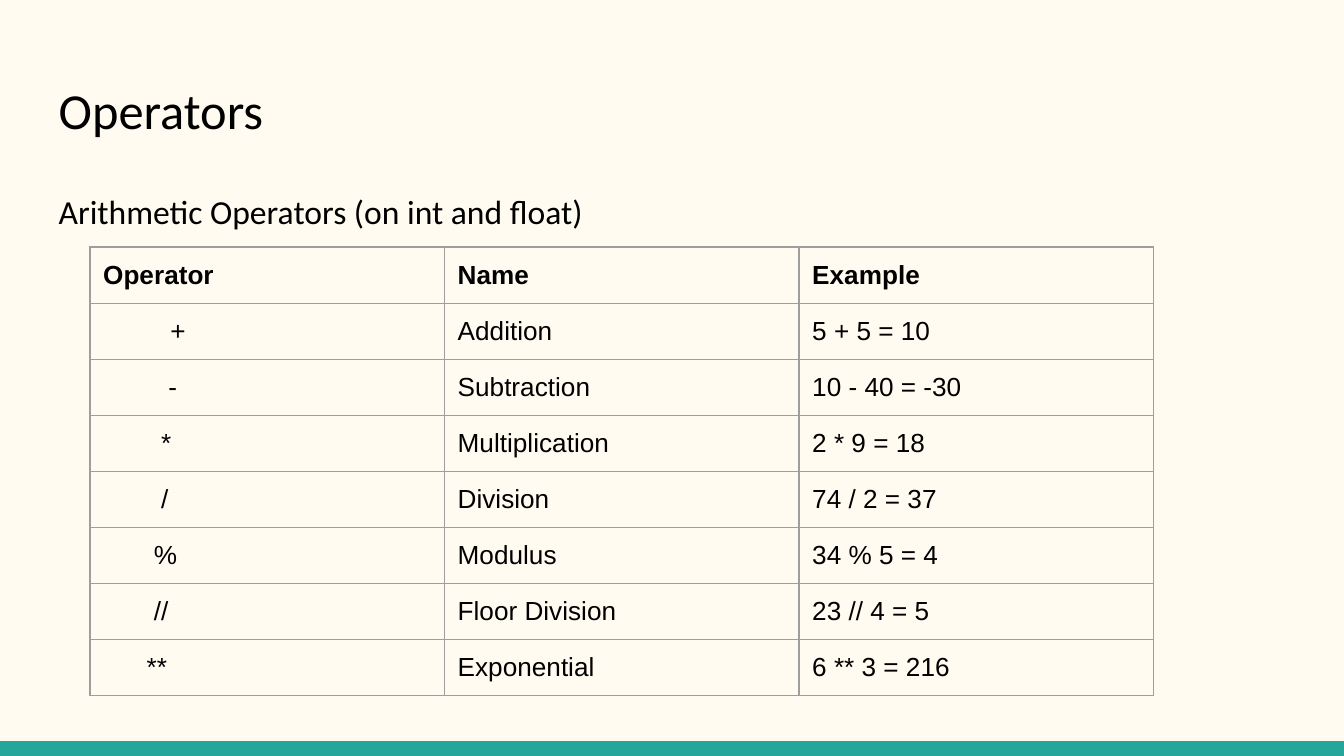
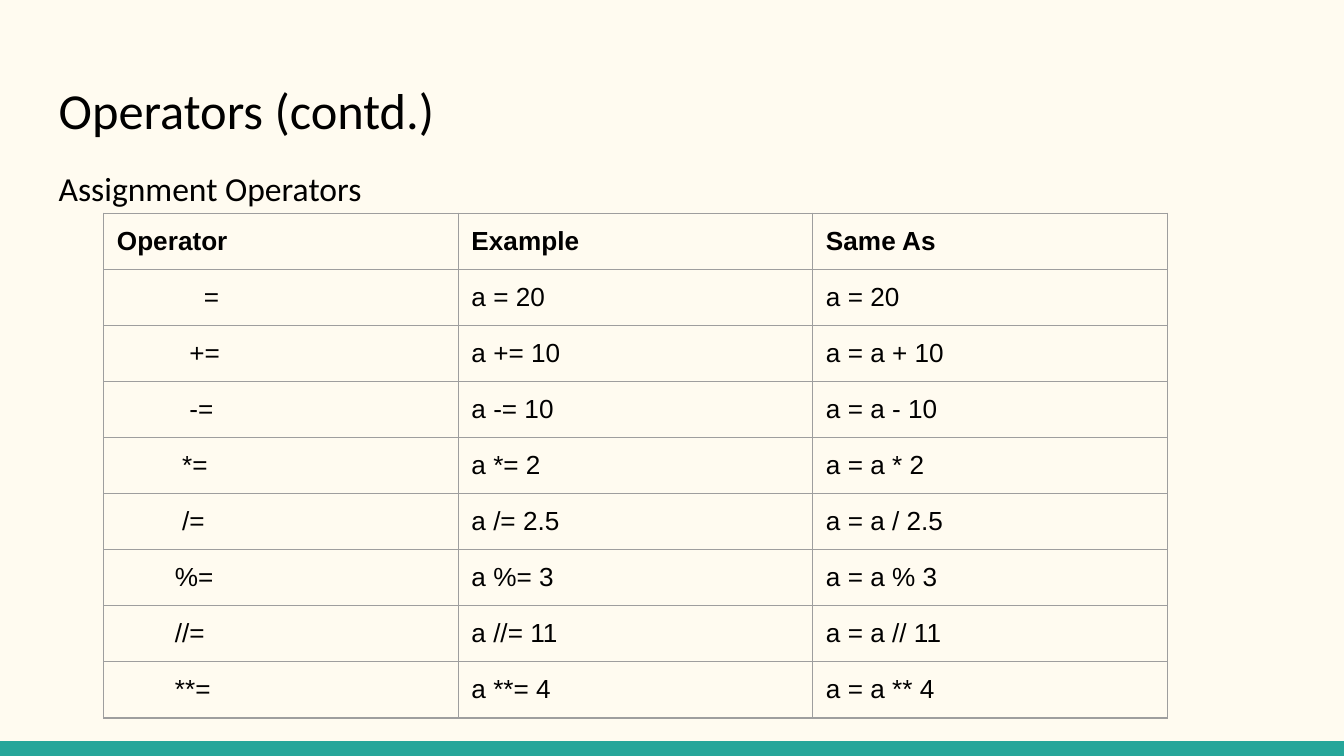
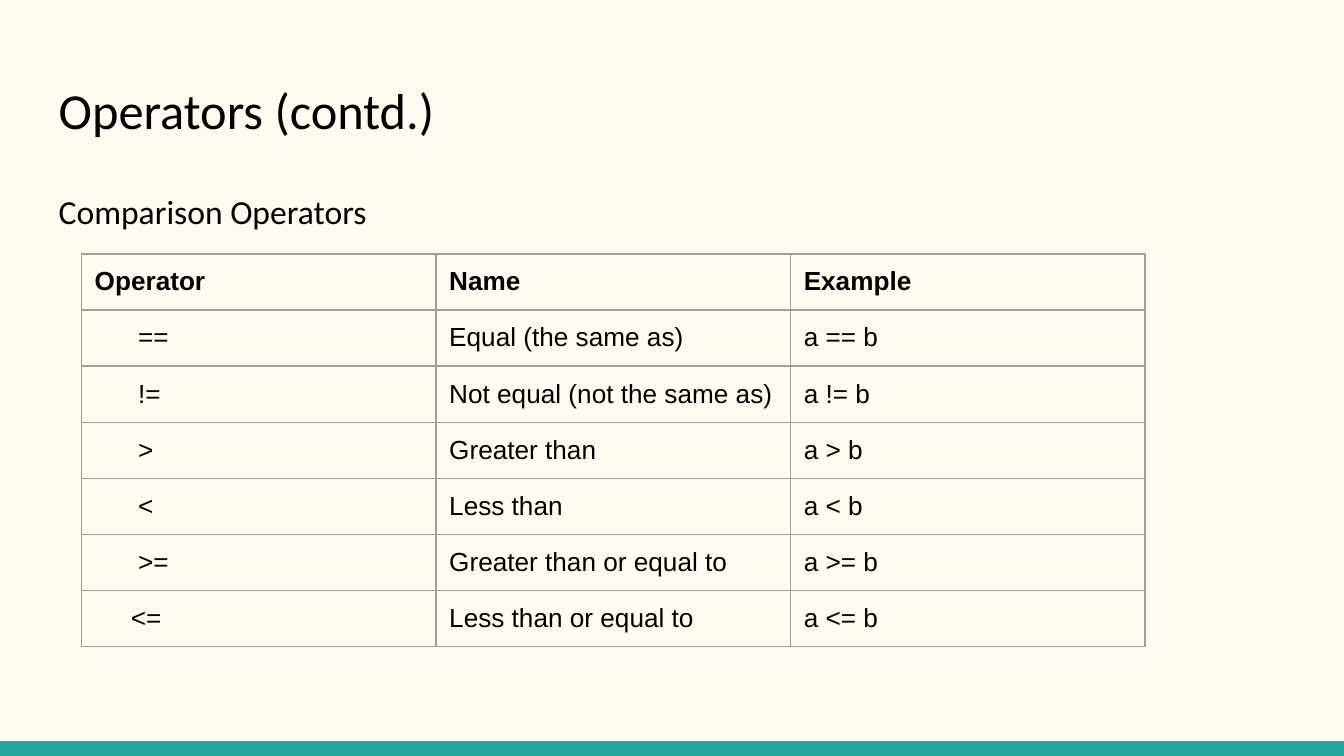
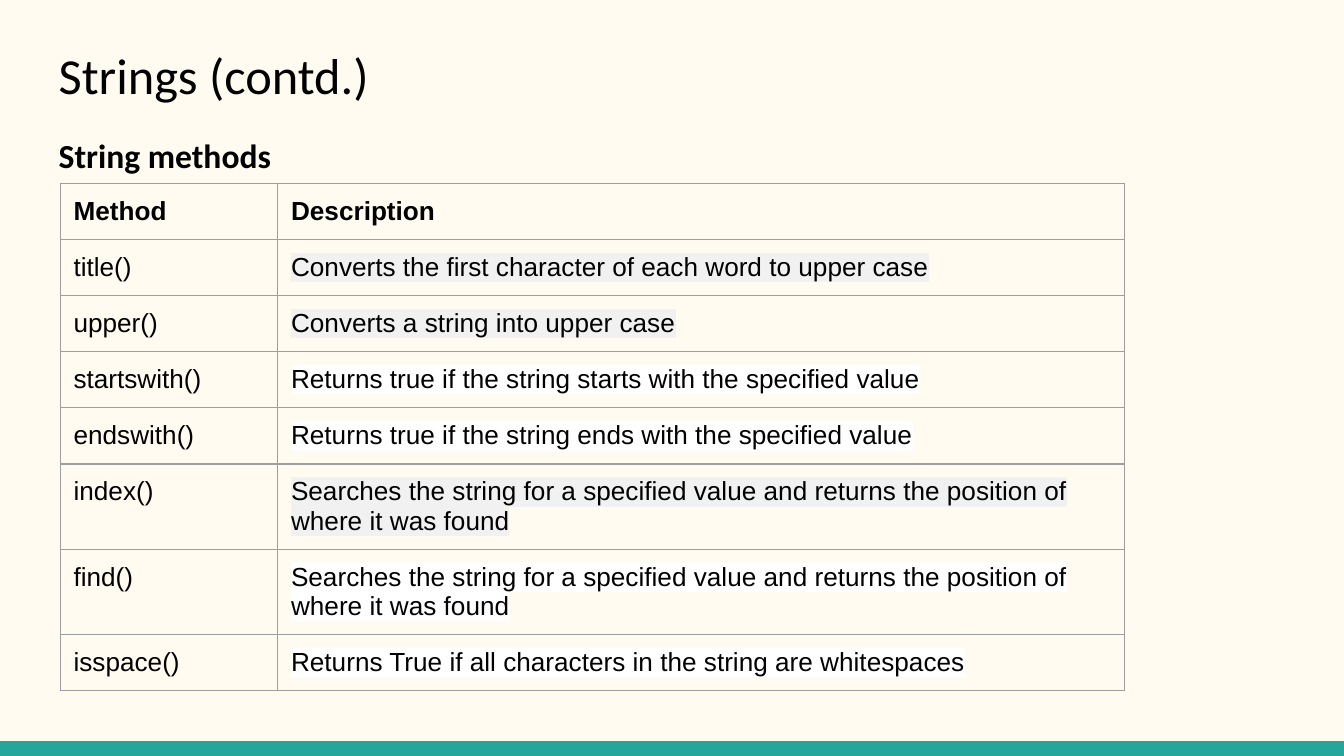
from lxml.etree import SubElement
from pptx import Presentation
from pptx.dml.color import RGBColor
from pptx.enum.shapes import MSO_SHAPE
from pptx.enum.text import MSO_ANCHOR, MSO_AUTO_SIZE, PP_ALIGN
from pptx.oxml.ns import qn
from pptx.util import Cm, Pt

PAPER, TEAL, INK, GRID = "FFFBF0", "26A69A", "000000", "9E9E9E"
GREY, WHITE = "F1F1F1", "FFFFFF"
HEADING_FONT, TABLE_FONT = "Calibri", "Arial"
WIDTH, HEIGHT, BAND = 25.4, 14.29, 0.28
LEFT, TEXT_WIDTH, INSET = 0.86, 23.67, 0.25
ROW_HEIGHT, SPACE = 1.06, 0.137
THIRDS = [6.7] * 3

ARITHMETIC = [
    ("Operator", "Name", "Example"),
    ("+", "Addition", "5 + 5 = 10"),
    ("-", "Subtraction", "10 - 40 = -30"),
    ("*", "Multiplication", "2 * 9 = 18"),
    ("/", "Division", "74 / 2 = 37"),
    ("%", "Modulus", "34 % 5 = 4"),
    ("//", "Floor Division", "23 // 4 = 5"),
    ("**", "Exponential", "6 ** 3 = 216"),
]
ASSIGNMENT = [
    ("Operator", "Example", "Same As"),
    ("=", "a = 20", "a = 20"),
    ("+=", "a += 10", "a = a + 10"),
    ("-=", "a -= 10", "a = a - 10"),
    ("*=", "a *= 2", "a = a * 2"),
    ("/=", "a /= 2.5", "a = a / 2.5"),
    ("%=", "a %= 3", "a = a % 3"),
    ("//=", "a //= 11", "a = a // 11"),
    ("**=", "a **= 4", "a = a ** 4"),
]
COMPARISON = [
    ("Operator", "Name", "Example"),
    ("==", "Equal (the same as)", "a == b"),
    ("!=", "Not equal (not the same as)", "a != b"),
    (">", "Greater than", "a > b"),
    ("<", "Less than", "a < b"),
    (">=", "Greater than or equal to", "a >= b"),
    ("<=", "Less than or equal to", "a <= b"),
]
SEARCH = ("Searches the string for a specified value and returns "
          "the position of where it was found")
METHODS = [
    ("Method", "Description"),
    ("title()", "Converts the first character of each word to upper case"),
    ("upper()", "Converts a string into upper case"),
    ("startswith()", "Returns true if the string starts with the specified value"),
    ("endswith()", "Returns true if the string ends with the specified value"),
    ("index()", SEARCH),
    ("find()", SEARCH),
    ("isspace()", "Returns True if all characters in the string are whitespaces"),
]


def rgb(value):
    return RGBColor.from_string(value)


def set_font(p, name, size, bold=False):
    p.font.name = name
    p.font.size = Pt(size)
    p.font.bold = bold
    p.font.color.rgb = rgb(INK)


def set_insets(target):
    target.margin_left = target.margin_right = Cm(INSET)
    target.margin_top = target.margin_bottom = Cm(INSET)


def format_frame(tf):
    tf.word_wrap = True
    tf.auto_size = MSO_AUTO_SIZE.NONE
    tf.vertical_anchor = MSO_ANCHOR.TOP
    set_insets(tf)


def add_slide(prs, title, top=1.24):
    s = prs.slides.add_slide(prs.slide_layouts[5])
    band = s.shapes.add_shape(MSO_SHAPE.RECTANGLE, 0, Cm(HEIGHT - BAND), Cm(WIDTH), Cm(BAND))
    band.shadow.inherit = False
    band.fill.solid()
    band.fill.fore_color.rgb = rgb(TEAL)
    band.line.fill.background()

    sp = s.shapes.title
    sp.left, sp.top, sp.width, sp.height = Cm(LEFT), Cm(top), Cm(TEXT_WIDTH), Cm(1.7)
    sp.text = title
    format_frame(sp.text_frame)
    p = sp.text_frame.paragraphs[0]
    p.alignment = PP_ALIGN.LEFT
    set_font(p, HEADING_FONT, 27)
    return s


def add_subtitle(s, text, top, bold=False):
    sp = s.shapes.add_textbox(Cm(LEFT), Cm(top), Cm(TEXT_WIDTH), Cm(9.45))
    tf = sp.text_frame
    format_frame(tf)
    p = tf.paragraphs[0]
    p.text = text
    p.line_spacing = 1.15
    p.space_after = Pt(12)
    set_font(p, HEADING_FONT, 18, bold)


def add_borders(cell):
    props = cell._tc.get_or_add_tcPr()
    for side in ("a:lnL", "a:lnR", "a:lnT", "a:lnB"):
        line = SubElement(props, qn(side), w=str(Pt(0.75)))
        fill = SubElement(line, qn("a:solidFill"))
        SubElement(fill, qn("a:srgbClr"), val=GRID)


def fill_cell(cell, text, bold):
    set_insets(cell)
    add_borders(cell)
    cell.fill.background()
    p = cell.text_frame.paragraphs[0]
    p.text = text
    set_font(p, TABLE_FONT, 14, bold)


def add_grid(s, rows, left, top, widths):
    frame = s.shapes.add_table(len(rows), len(widths), Cm(left), Cm(top),
                               Cm(sum(widths)), Cm(ROW_HEIGHT * len(rows)))
    table = frame.table
    table.first_row = table.horz_banding = False
    for column, width in zip(table.columns, widths):
        column.width = Cm(width)
    for i, row in enumerate(rows):
        table.rows[i].height = Cm(ROW_HEIGHT)
        for j, text in enumerate(row):
            fill_cell(table.cell(i, j), text, bold=i == 0)
    return table


def indent_operators(table, spaces):
    for i, count in enumerate(spaces, 1):
        p = table.cell(i, 0).text_frame.paragraphs[0]
        props = p._p.get_or_add_pPr()
        props.set("marL", str(Cm(count * SPACE)))
        props.set("indent", "0")


def highlight_descriptions(table, colors):
    for i, color in enumerate(colors, 1):
        r = table.cell(i, 1).text_frame.paragraphs[0].runs[0]
        mark = SubElement(r._r.get_or_add_rPr(), qn("a:highlight"))
        SubElement(mark, qn("a:srgbClr"), val=color)


def add_operator_slide(prs, title, subtitle, subtitle_top, rows, left, top, spaces):
    s = add_slide(prs, title)
    add_subtitle(s, subtitle, subtitle_top)
    indent_operators(add_grid(s, rows, left, top, THIRDS), spaces)


def add_methods_slide(prs):
    s = add_slide(prs, "Strings (contd.)", top=0.58)
    add_subtitle(s, "String methods", 2.18, bold=True)
    table = add_grid(s, METHODS, 1.14, 3.47, [4.11, 16])
    highlight_descriptions(table, [GREY, GREY, WHITE, WHITE, GREY, WHITE, WHITE])


def main():
    prs = Presentation()
    prs.slide_width, prs.slide_height = Cm(WIDTH), Cm(HEIGHT)
    background = prs.slide_master.background.fill
    background.solid()
    background.fore_color.rgb = rgb(PAPER)

    add_operator_slide(prs, "Operators", "Arithmetic Operators (on int and float)", 3.25,
                       ARITHMETIC, 1.7, 4.67, [9.27, 9, 8, 8, 7, 7, 6])
    add_operator_slide(prs, "Operators (contd.)", "Assignment Operators", 2.82,
                       ASSIGNMENT, 1.96, 4.03, [12, 10, 10, 9, 9, 8, 8, 8])
    add_operator_slide(prs, "Operators (contd.)", "Comparison Operators", 3.25,
                       COMPARISON, 1.54, 4.8, [6, 6, 6, 6, 6, 5])
    add_methods_slide(prs)
    prs.save("out.pptx")


if __name__ == "__main__":
    main()
